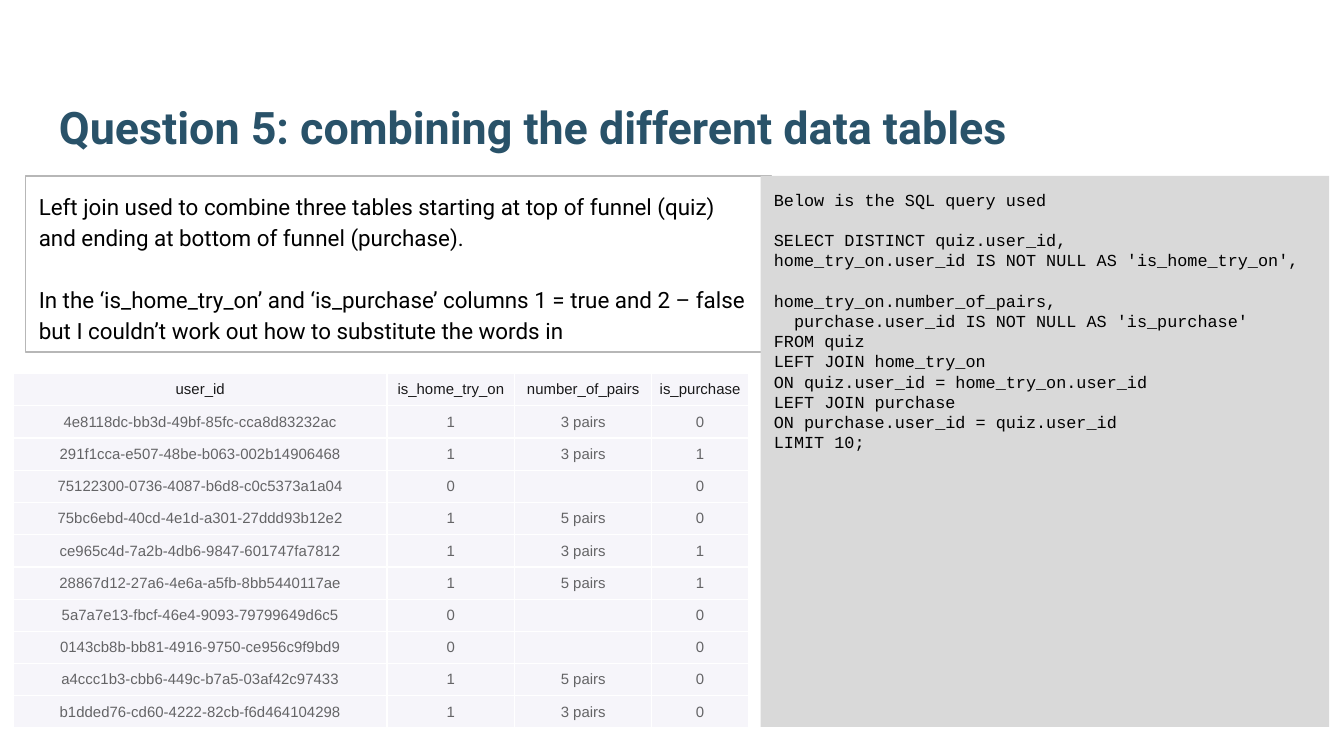
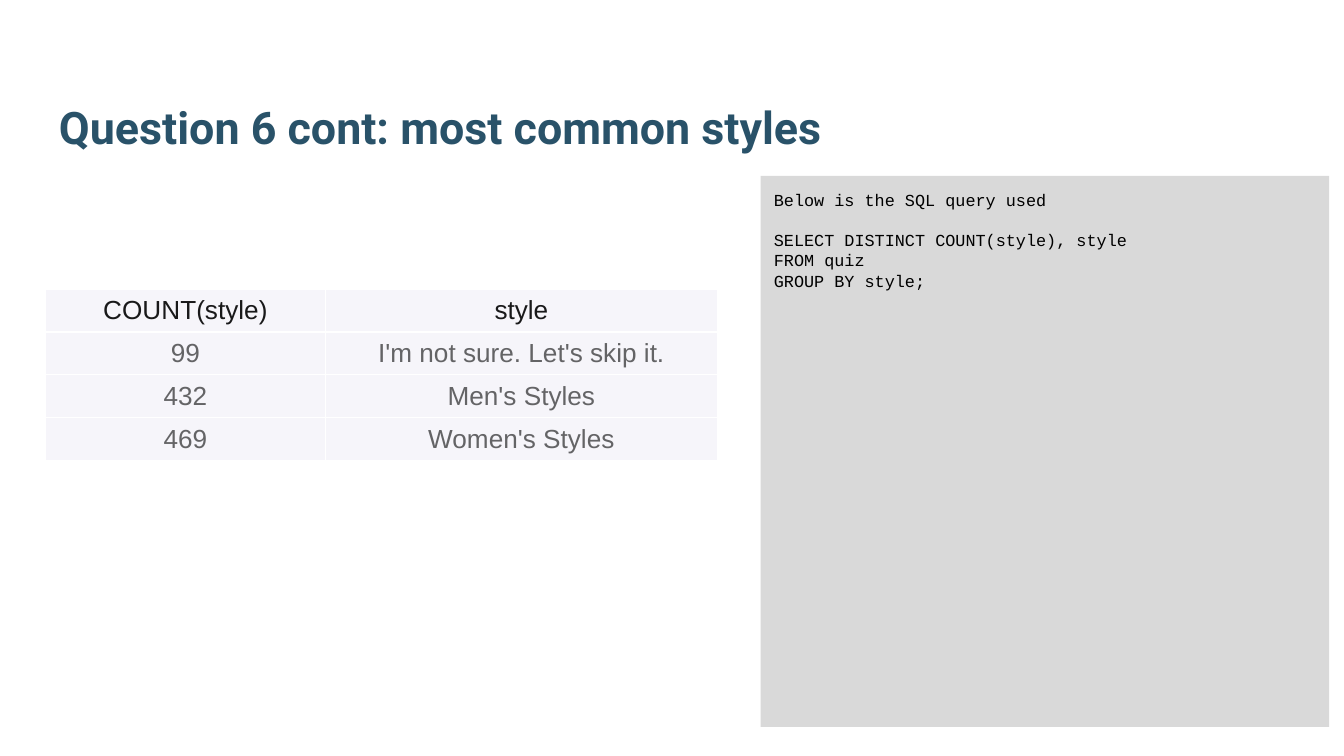
import lxml.etree
import pptx
import pptx.dml.color
import pptx.enum.shapes
import pptx.enum.text
import pptx.oxml.ns
import pptx.util

Inches = pptx.util.Inches
Pt = pptx.util.Pt
RGB = pptx.dml.color.RGBColor.from_string
qn = pptx.oxml.ns.qn
MIDDLE = pptx.enum.text.MSO_ANCHOR.MIDDLE
CENTER = pptx.enum.text.PP_ALIGN.CENTER
LEFT = pptx.enum.text.PP_ALIGN.LEFT

COLORS = {
    "title": "295269",
    "text": "000000",
    "outline": "B7B7B7",
    "code_panel": "D9D9D9",
    "cell": "F6F5FA",
    "header_text": "19191A",
    "cell_text": "646466",
    "cell_border": "FFFFFF",
}

QUESTIONS = [
    {
        "title": "Question 5: combining the different data tables",
        "explanation": [
            ["Left join used to combine three tables starting at top of funnel (quiz) and ending at bottom of funnel (purchase)."],
            ["In the ‘is_home_try_on’ and ‘is_purchase’ columns 1 = true and 2 – false but I couldn’t work out how to substitute the words in"],
        ],
        "query": [
            ["Below is the SQL query used"],
            ["SELECT DISTINCT quiz.user_id,",
             "home_try_on.user_id IS NOT NULL AS 'is_home_try_on',"],
            ["home_try_on.number_of_pairs,",
             "  purchase.user_id IS NOT NULL AS 'is_purchase'",
             "FROM quiz",
             "LEFT JOIN home_try_on",
             "ON quiz.user_id = home_try_on.user_id",
             "LEFT JOIN purchase",
             "ON purchase.user_id = quiz.user_id",
             "LIMIT 10;"],
        ],
        "results": [
            ["user_id", "is_home_try_on", "number_of_pairs", "is_purchase"],
            ["4e8118dc-bb3d-49bf-85fc-cca8d83232ac", "1", "3 pairs", "0"],
            ["291f1cca-e507-48be-b063-002b14906468", "1", "3 pairs", "1"],
            ["75122300-0736-4087-b6d8-c0c5373a1a04", "0", "", "0"],
            ["75bc6ebd-40cd-4e1d-a301-27ddd93b12e2", "1", "5 pairs", "0"],
            ["ce965c4d-7a2b-4db6-9847-601747fa7812", "1", "3 pairs", "1"],
            ["28867d12-27a6-4e6a-a5fb-8bb5440117ae", "1", "5 pairs", "1"],
            ["5a7a7e13-fbcf-46e4-9093-79799649d6c5", "0", "", "0"],
            ["0143cb8b-bb81-4916-9750-ce956c9f9bd9", "0", "", "0"],
            ["a4ccc1b3-cbb6-449c-b7a5-03af42c97433", "1", "5 pairs", "0"],
            ["b1dded76-cd60-4222-82cb-f6d464104298", "1", "3 pairs", "0"],
        ],
        "corner": (0.1, 2.78),
        "columns": [2.78, 0.95, 1.02, 0.72],
        "row_height": 0.24,
        "cell_margins": (0.05, 0.03),
        "cell_size": 8,
    },
    {
        "title": "Question 6 cont: most common styles",
        "explanation": [],
        "query": [
            ["Below is the SQL query used"],
            ["SELECT DISTINCT COUNT(style), style",
             "FROM quiz",
             "GROUP BY style;"],
        ],
        "results": [
            ["COUNT(style)", "style"],
            ["99", "I'm not sure. Let's skip it."],
            ["432", "Men's Styles"],
            ["469", "Women's Styles"],
        ],
        "corner": (0.34, 2.15),
        "columns": [2.08, 2.92],
        "row_height": 0.32,
        "cell_margins": (0.1, 0.04),
        "cell_size": 14,
    },
]


def style_run(run, size, font, color, bold=False):
    run.font.size = Pt(size)
    run.font.name = font
    run.font.bold = bold
    run.font.color.rgb = RGB(COLORS[color])


def write_panel(slide, box, blocks, size, font, gap, spacing):
    panel = slide.shapes.add_shape(
        pptx.enum.shapes.MSO_SHAPE.RECTANGLE, *map(Inches, box))
    panel.shadow.inherit = False
    frame = panel.text_frame
    frame.word_wrap = True
    frame.vertical_anchor = pptx.enum.text.MSO_ANCHOR.TOP
    frame.margin_left = frame.margin_right = Inches(0.1)
    frame.margin_top = frame.margin_bottom = Inches(0.1)
    frame.text = "\n".join(line for block in blocks for line in block)
    block_starts = [sum(map(len, blocks[:i])) for i in range(1, len(blocks))]
    for index, paragraph in enumerate(frame.paragraphs):
        paragraph.alignment = LEFT
        paragraph.line_spacing = spacing
        if index in block_starts:
            paragraph.space_before = Pt(gap)
        style_run(paragraph.runs[0], size, font, "text")
    return panel


deck = pptx.Presentation()
deck.slide_width = Inches(10)
deck.slide_height = deck.slide_width * 9 // 16

for question in QUESTIONS:
    slide = deck.slides.add_slide(deck.slide_layouts[6])

    title = slide.shapes.add_textbox(
        Inches(0.34), Inches(0.32), Inches(9.32), Inches(0.92)).text_frame
    title.word_wrap = True
    title.vertical_anchor = pptx.enum.text.MSO_ANCHOR.BOTTOM
    title.margin_left = title.margin_right = Inches(0.1)
    title.margin_top = title.margin_bottom = Inches(0.1)
    title.text = question["title"]
    style_run(title.paragraphs[0].runs[0], 24, "Roboto", "title", True)

    if question["explanation"]:
        explanation = write_panel(slide, (0.19, 1.31, 5.55, 1.31),
                                  question["explanation"], 12, "Roboto", 16.4, 1.15)
        explanation.fill.background()
        explanation.line.color.rgb = RGB(COLORS["outline"])
        explanation.line.width = Pt(0.75)

    query = write_panel(slide, (5.66, 1.31, 4.23, 4.1),
                        question["query"], 9, "Courier New", 10.8, 1.0)
    query.fill.solid()
    query.fill.fore_color.rgb = RGB(COLORS["code_panel"])
    query.line.fill.background()

    rows = question["results"]
    widths = question["columns"]
    left, top = question["corner"]
    results = slide.shapes.add_table(
        len(rows), len(widths), Inches(left), Inches(top),
        Inches(sum(widths)), Inches(question["row_height"] * len(rows))).table
    results.horz_banding = False
    results.first_row = False
    for column, width in zip(results.columns, widths):
        column.width = Inches(width)
    side_margin, end_margin = map(Inches, question["cell_margins"])
    for row_index, values in enumerate(rows):
        results.rows[row_index].height = Inches(question["row_height"])
        for column_index, value in enumerate(values):
            cell = results.cell(row_index, column_index)
            cell.margin_left = cell.margin_right = side_margin
            cell.margin_top = cell.margin_bottom = end_margin
            cell.vertical_anchor = MIDDLE
            properties = cell._tc.get_or_add_tcPr()
            for edge in ("a:lnL", "a:lnR", "a:lnT", "a:lnB"):
                border = lxml.etree.SubElement(properties, qn(edge), w=str(Pt(0.75)))
                border_fill = lxml.etree.SubElement(border, qn("a:solidFill"))
                lxml.etree.SubElement(border_fill, qn("a:srgbClr"), val=COLORS["cell_border"])
            cell.fill.solid()
            cell.fill.fore_color.rgb = RGB(COLORS["cell"])
            paragraph = cell.text_frame.paragraphs[0]
            paragraph.alignment = CENTER
            if value:
                paragraph.text = value
                style_run(paragraph.runs[0], question["cell_size"], "Arial",
                          "cell_text" if row_index else "header_text")
            else:
                lxml.etree.SubElement(paragraph._p, qn("a:endParaRPr"),
                                      sz=str(question["cell_size"] * 100))

deck.save("out.pptx")
